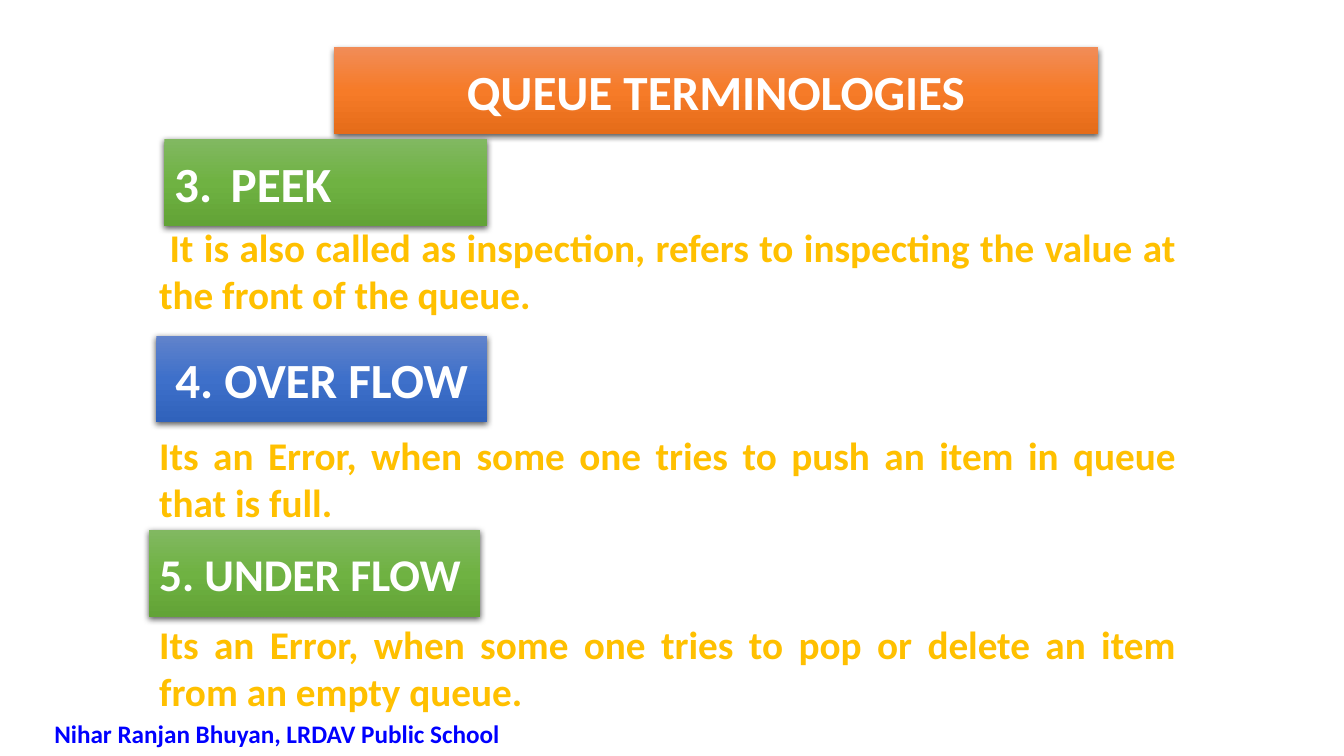
from lxml.etree import SubElement
from pptx import Presentation
from pptx.dml.color import RGBColor
from pptx.enum.shapes import MSO_SHAPE
from pptx.enum.text import MSO_ANCHOR, PP_ALIGN
from pptx.oxml import parse_xml
from pptx.oxml.ns import nsdecls, qn
from pptx.util import Emu, Pt

PX = 9144  # 100 px to the inch


def px(*lengths):
    return [Emu(length * PX) for length in lengths]


def add_text(paragraph, text, size, color):
    run = paragraph.add_run()
    run.text = text
    run.font.name = "Calibri"
    run.font.size = Pt(size)
    run.font.bold = True
    run.font.color.rgb = RGBColor.from_string(color)


presentation = Presentation()
presentation.slide_width, presentation.slide_height = px(1333, 750)
slide = presentation.slides.add_slide(presentation.slide_layouts[6])

# Definitions, spaced to leave room for the headings
definitions = [
    ("It is also called as inspection, refers to inspecting the value at the front of the queue.", 0),
    ("Its an Error, when some one tries to push an item in queue that is full.", 81),
    ("Its an Error, when some one tries to pop or delete an item from an empty queue.", 68),
]
body = slide.shapes.add_textbox(*px(148, 217, 1028, 500)).text_frame
body.word_wrap = True
for index, (definition, space) in enumerate(definitions):
    paragraph = body.paragraphs[0] if index == 0 else body.add_paragraph()
    paragraph.alignment = PP_ALIGN.JUSTIFY
    if index == 0:
        add_text(paragraph, " ", 28, "000000")
    else:
        paragraph.space_before = Pt(space)
    add_text(paragraph, definition, 28, "FFC000")

# Title and heading bars with gradient and soft shadow
ORANGE = ["F18C57", "F67B28", "E56C19"]
GREEN = ["81B861", "6FB242", "62A336"]
BLUE = ["6183CB", "3E70CA", "3062BB"]
bars = [
    ("QUEUE TERMINOLOGIES", (331, 47, 758, 86), ORANGE, 35.1, PP_ALIGN.CENTER),
    ("3.\tPEEK", (163, 138, 320, 86), GREEN, 35.1, PP_ALIGN.LEFT),
    ("4. OVER FLOW", (155, 333, 328, 86), BLUE, 35.1, PP_ALIGN.CENTER),
    ("5. UNDER FLOW", (148, 526, 328, 86), GREEN, 32.4, PP_ALIGN.LEFT),
]
for heading, box, colors, size, alignment in bars:
    bar = slide.shapes.add_shape(MSO_SHAPE.RECTANGLE, *px(*box))
    bar.line.fill.background()
    gradient = parse_xml(
        f'<a:gradFill {nsdecls("a")} rotWithShape="1"><a:gsLst/>'
        '<a:lin ang="5400000" scaled="0"/></a:gradFill>')
    for position, color in zip((0, 50000, 100000), colors):
        stop = SubElement(gradient[0], qn("a:gs"), pos=str(position))
        SubElement(stop, qn("a:srgbClr"), val=color)
    properties = bar.element.spPr
    properties.find(qn("a:prstGeom")).addnext(gradient)
    properties.append(parse_xml(
        f'<a:effectLst {nsdecls("a")}><a:outerShdw blurRad="{Pt(4.5)}" dist="{Pt(1.5)}" '
        'dir="5400000" algn="ctr" rotWithShape="0"><a:srgbClr val="000000">'
        '<a:alpha val="63000"/></a:srgbClr></a:outerShdw></a:effectLst>'))
    frame = bar.text_frame
    frame.word_wrap = True
    frame.vertical_anchor = MSO_ANCHOR.MIDDLE
    paragraph = frame.paragraphs[0]
    paragraph.alignment = alignment
    indent = 56 * PX
    paragraph_properties = paragraph._p.get_or_add_pPr()
    paragraph_properties.set("marL", str(indent))
    paragraph_properties.set("indent", str(-indent))
    add_text(paragraph, heading, size, "FFFFFF")

# Author line
footer = slide.shapes.add_textbox(*px(44, 708, 477, 40)).text_frame
footer.word_wrap = True
add_text(footer.paragraphs[0], "Nihar Ranjan Bhuyan, LRDAV Public School", 18, "0000FF")

presentation.save("out.pptx")
